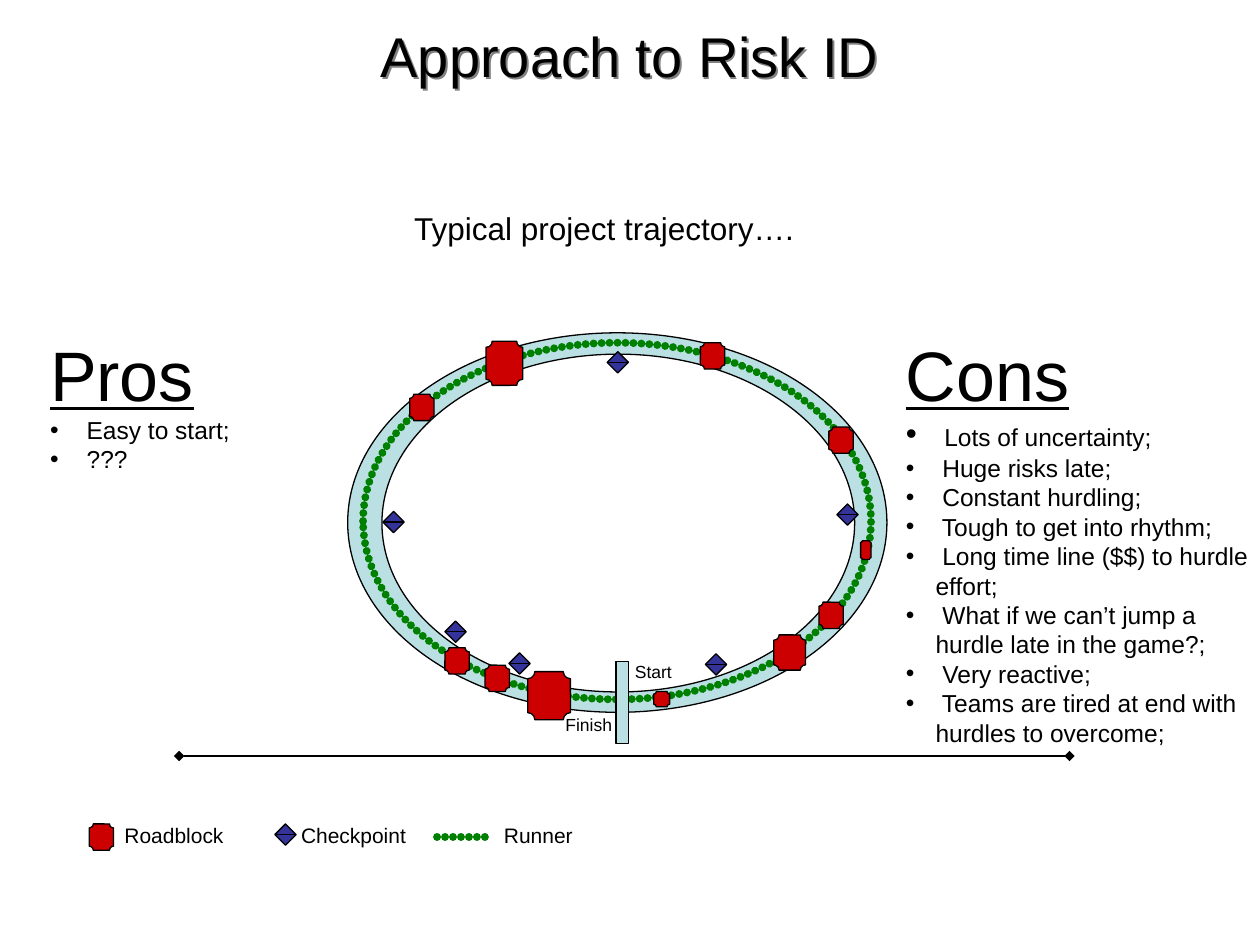
"""Build the risk identification slide with its race track diagram."""
from dataclasses import dataclass

from lxml import etree
from pptx import Presentation
from pptx.dml.color import RGBColor
from pptx.enum.shapes import MSO_CONNECTOR, MSO_SHAPE
from pptx.enum.text import MSO_ANCHOR, MSO_AUTO_SIZE, PP_ALIGN
from pptx.oxml import parse_xml
from pptx.oxml.ns import qn
from pptx.util import Cm, Pt

OVAL = MSO_SHAPE.OVAL
RECT = MSO_SHAPE.RECTANGLE
PLAQUE = MSO_SHAPE.PLAQUE
SORT = MSO_SHAPE.FLOWCHART_SORT
STRAIGHT = MSO_CONNECTOR.STRAIGHT
MIDDLE = MSO_ANCHOR.MIDDLE
CENTER = PP_ALIGN.CENTER
LEFT = PP_ALIGN.LEFT
GROW = MSO_AUTO_SIZE.SHAPE_TO_FIT_TEXT
SHADOW = (
    '<a:effectLst xmlns:a="http://schemas.openxmlformats.org/drawingml/2006/main">'
    '<a:outerShdw dist="20000" dir="2700000" algn="ctr" rotWithShape="0">'
    '<a:srgbClr val="808080"/></a:outerShdw></a:effectLst>'
)


@dataclass(frozen=True)
class Theme:
    """Colours, font and type sizes of the slide."""
    font: str = "Arial"
    ink: str = "000000"
    paper: str = "FFFFFF"
    track: str = "BBE0E3"
    block: str = "CC0000"
    check: str = "333399"
    runner: str = "008000"
    title: int = 32
    head: int = 40
    lead: int = 18
    body: int = 14
    key: int = 12
    note: int = 10
    thin: float = 0.75
    thick: float = 4.5


def write(para, text, *, theme, size, under=False):
    """Add a formatted run to a paragraph."""
    run = para.add_run()
    run.text = text
    run.font.name = theme.font
    run.font.size = Pt(size)
    run.font.underline = under
    run.font.color.rgb = RGBColor.from_string(theme.ink)


class Board:
    """Holds the theme and the current slide."""

    def __init__(self, slide, theme):
        """Keep the slide and the theme."""
        self.slide = slide
        self.theme = theme

    def frame(self, box, wrap=True, shadow=False):
        """Add an empty text box and return its frame."""
        shape = self.slide.shapes.add_textbox(*map(Cm, box))
        if shadow:
            shape._element.spPr.append(parse_xml(SHADOW))
        shape.text_frame.word_wrap = wrap
        return shape.text_frame

    def title(self, text, box):
        """Add the centred, shadowed title."""
        frame = self.frame(box, shadow=True)
        frame.vertical_anchor = MIDDLE
        para = frame.paragraphs[0]
        para.alignment = CENTER
        write(para, text, theme=self.theme, size=self.theme.title)

    def label(self, text, box, size):
        """Add a one-line label."""
        frame = self.frame(box, wrap=False)
        frame.auto_size = GROW
        para = frame.paragraphs[0]
        para.alignment = LEFT
        write(para, text, theme=self.theme, size=size)

    def points(self, head, items, box):
        """Add an underlined heading with bullets, each a list of sized runs."""
        frame = self.frame(box)
        write(frame.paragraphs[0], head, theme=self.theme,
              size=self.theme.head, under=True)
        for runs in items:
            para = frame.add_paragraph()
            props = para._p.get_or_add_pPr()
            props.set("marL", str(Cm(0.6)))
            props.set("indent", str(Cm(-0.6)))
            etree.SubElement(props, qn("a:buFont")).set("typeface", self.theme.font)
            etree.SubElement(props, qn("a:buChar")).set("char", "•")
            for text, size in runs:
                write(para, text, theme=self.theme, size=size)

    def stroke(self, line, dots=False):
        """Style a line as a thin outline or as the runner's dots."""
        theme = self.theme
        line.color.rgb = RGBColor.from_string(theme.runner if dots else theme.ink)
        line.width = Pt(theme.thick if dots else theme.thin)
        if dots:
            props = line._get_or_add_ln()
            props.set("cap", "rnd")
            dash = etree.SubElement(props, qn("a:custDash"))
            stop = etree.SubElement(dash, qn("a:ds"))
            stop.set("d", "100000")
            stop.set("sp", "1000")

    def shape(self, kind, box, fill=None, dots=False):
        """Add an outlined preset shape."""
        shape = self.slide.shapes.add_shape(kind, *map(Cm, box))
        shape.shadow.inherit = False
        if fill:
            shape.fill.solid()
            shape.fill.fore_color.rgb = RGBColor.from_string(fill)
        else:
            shape.fill.background()
        self.stroke(shape.line, dots)

    def block(self, left, top, width=0.49, height=0.53):
        """Add a roadblock."""
        self.shape(PLAQUE, (left, top, width, height), self.theme.block)

    def check(self, left, top):
        """Add a checkpoint."""
        self.shape(SORT, (left, top, 0.43, 0.43), self.theme.check)

    def level(self, start, end, top, dots=False, ends=None):
        """Add a horizontal line."""
        line = self.slide.shapes.add_connector(
            STRAIGHT, Cm(start), Cm(top), Cm(end), Cm(top))
        self.stroke(line.line, dots)
        if ends:
            for tag in ("a:headEnd", "a:tailEnd"):
                etree.SubElement(line.line._get_or_add_ln(), qn(tag)).set("type", ends)
        etree.SubElement(line._element.spPr, qn("a:effectLst"))


def main():
    """Build and save the slide."""
    deck = Presentation()
    deck.slide_width, deck.slide_height = Cm(25.4), Cm(19.05)
    theme = Theme()
    board = Board(deck.slides.add_slide(deck.slide_layouts[6]), theme)

    board.title("Approach to Risk ID", (0, -0.48, 25.4, 3.18))
    board.label("Typical project trajectory….", (8.1, 4.09, 8.3, 1.02), theme.lead)

    board.shape(OVAL, (7.01, 6.71, 10.87, 7.65), theme.track)
    board.shape(OVAL, (7.7, 7.14, 9.53, 6.81), theme.paper)
    board.label("Start", (12.55, 13.21, 1.4, 0.69), theme.note)
    board.label("Finish", (11.15, 14.27, 1.5, 0.69), theme.note)
    board.shape(OVAL, (7.32, 6.91, 10.24, 7.19), dots=True)
    board.shape(RECT, (12.42, 13.34, 0.25, 1.65), theme.track)

    for spot in (
        (8.26, 7.95), (9.8, 6.88, 0.74, 0.89), (10.64, 13.54, 0.86, 0.97),
        (9.78, 13.41), (8.97, 13.06), (13.18, 13.94, 0.32, 0.31),
        (15.6, 12.8, 0.64, 0.71), (16.51, 12.14), (14.12, 6.91),
        (17.35, 10.9, 0.21, 0.38), (16.71, 8.61), (1.8, 16.61),
    ):
        board.block(*spot)
    for spot in ((12.24, 7.09), (7.72, 10.31), (8.97, 12.52), (10.26, 13.16),
                 (14.22, 13.18), (16.87, 10.16), (5.54, 16.61)):
        board.check(*spot)

    for text, left, width in (("Roadblock", 2.26, 2.6), ("Checkpoint", 5.82, 2.7),
                              ("Runner", 9.91, 2.1)):
        board.label(text, (left, 16.46, width, 0.76), theme.key)
    board.level(8.81, 9.86, 16.87, dots=True)
    board.level(3.61, 21.56, 15.24, ends="diamond")

    pros = (" Easy to start;", " ???")
    cons = (" Huge risks late;", " Constant hurdling;", " Tough to get into rhythm;",
            " Long time line ($$) to hurdle effort;",
            " What if we can’t jump a hurdle late in the game?;",
            " Very reactive;", " Teams are tired at end with hurdles to overcome;")
    first = [(" ", theme.lead), ("Lots of uncertainty;", theme.body)]
    board.points("Pros", [[(text, theme.body)] for text in pros],
                 (0.76, 6.55, 6.12, 8.51))
    board.points("Cons", [first] + [[(text, theme.body)] for text in cons],
                 (18.01, 6.55, 7.44, 8.51))
    deck.save("out.pptx")


if __name__ == "__main__":
    main()
